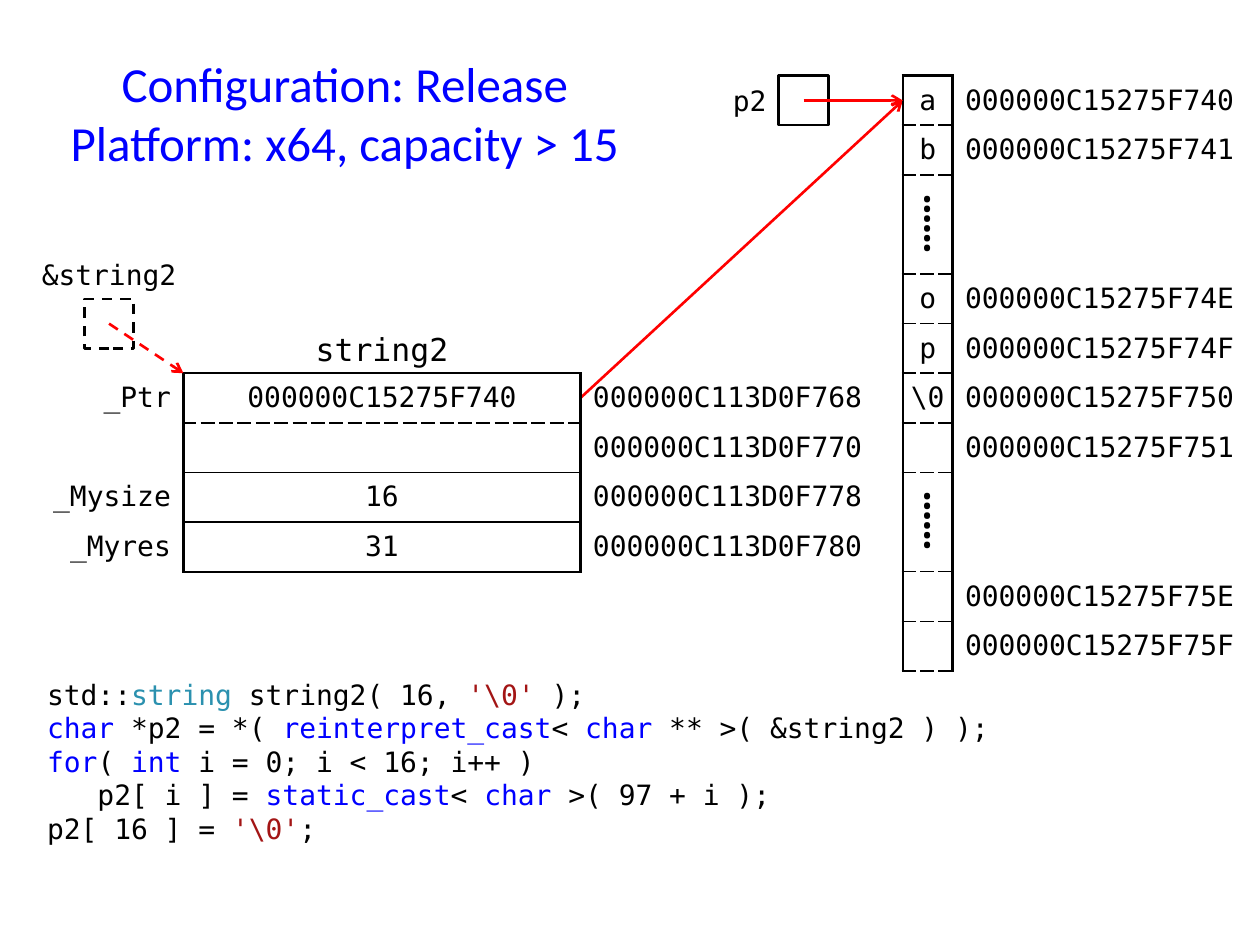
from lxml import etree
from pptx import Presentation
from pptx.dml.color import RGBColor
from pptx.enum.dml import MSO_LINE
from pptx.enum.shapes import MSO_CONNECTOR, MSO_SHAPE
from pptx.enum.text import MSO_ANCHOR, PP_ALIGN
from pptx.oxml.ns import qn
from pptx.util import Pt

LEFT, CENTER, RIGHT = PP_ALIGN.LEFT, PP_ALIGN.CENTER, PP_ALIGN.RIGHT
TOP, MIDDLE = MSO_ANCHOR.TOP, MSO_ANCHOR.MIDDLE
DASH = MSO_LINE.DASH
MONO = "DejaVu Sans Mono"
BLACK, BLUE, RED, TEAL, BROWN = "000000", "0000FF", "FF0000", "2B91AF", "A31515"

# Everything sits on a square grid, counted in cells from its origin
CELL, ORIGIN_X, ORIGIN_Y = 28.35, 19.8, 43.2

# Cell borders as (width in points, dash)
OUTLINE, DIVIDER, DASHED = (1.5, "solid"), (1, "solid"), (1, "sysDash")

FIELDS = [
    ("_Ptr", "000000C15275F740", "000000C113D0F768"),
    ("", "", "000000C113D0F770"),
    ("_Mysize", "16", "000000C113D0F778"),
    ("_Myres", "31", "000000C113D0F780"),
]
FIELD_EDGES = [OUTLINE, DASHED, DIVIDER, DIVIDER, OUTLINE]
DOTS = "⸽"
BUFFER = [
    ("a", "740"), ("b", "741"), (DOTS, ""), ("", ""), ("o", "74E"), ("p", "74F"),
    ("\\0", "750"), ("", "751"), (DOTS, ""), ("", ""), ("", "75E"), ("", "75F"),
]
CODE = [
    [("std::", BLACK), ("string ", TEAL), ("string2( 16, ", BLACK),
     ("'\\0'", BROWN), (" );", BLACK)],
    [("char", BLUE), (" *p2 = *( ", BLACK), ("reinterpret_cast", BLUE), ("< ", BLACK),
     ("char", BLUE), (" ** >( &string2 ) );", BLACK)],
    [("for", BLUE), ("( ", BLACK), ("int", BLUE), (" i = 0; i < 16; i++ )", BLACK)],
    [("   p2[ i ] = ", BLACK), ("static_cast", BLUE), ("< ", BLACK),
     ("char", BLUE), (" >( 97 + i );", BLACK)],
    [("p2[ 16 ] = ", BLACK), ("'\\0'", BROWN), (";", BLACK)],
]


def color(value):
    return RGBColor.from_string(value)


def point(column, row):
    return Pt(ORIGIN_X + column * CELL), Pt(ORIGIN_Y + row * CELL)


def box(column, row, width, height):
    return *point(column, row), Pt(width * CELL), Pt(height * CELL)


def add_run(paragraph, text, size=16, font=MONO, ink=BLACK):
    run = paragraph.add_run()
    run.text = text
    run.font.size, run.font.name = Pt(size), font
    run.font.color.rgb = color(ink)


def add_title(slide):
    title = slide.shapes.title
    title.left, title.top, title.width, title.height = box(0, -0.5, 12.5, 2.5)
    title.text_frame.vertical_anchor = MIDDLE
    paragraph = title.text_frame.paragraphs[0]
    paragraph.alignment = CENTER
    add_run(paragraph, "Configuration: Release", 28, "Calibri", BLUE)
    paragraph.add_line_break()
    add_run(paragraph, "Platform: x64, capacity > 15", 28, "Calibri", BLUE)


def add_text(slide, place, lines, align=LEFT, anchor=MIDDLE, size=16, inset=7.2):
    frame = slide.shapes.add_textbox(*place).text_frame
    frame.word_wrap = True
    frame.vertical_anchor = anchor
    frame.margin_left = frame.margin_right = Pt(inset)
    for index, runs in enumerate(lines):
        paragraph = frame.add_paragraph() if index else frame.paragraphs[0]
        paragraph.alignment = align
        for text, ink in runs:
            add_run(paragraph, text, size, ink=ink)


def add_pointer_box(slide, column, row, dash=None):
    shape = slide.shapes.add_shape(MSO_SHAPE.RECTANGLE, *box(column, row, 1, 1))
    shape.shadow.inherit = False
    shape.fill.background()
    shape.line.color.rgb = color(BLACK)
    shape.line.width = Pt(1.5)
    if dash:
        shape.line.dash_style = dash


def add_arrow(slide, start, end, dash=None):
    arrow = slide.shapes.add_connector(MSO_CONNECTOR.STRAIGHT, *point(*start), *point(*end))
    arrow.line.color.rgb = color(RED)
    arrow.line.width = Pt(1.5)
    if dash:
        arrow.line.dash_style = dash
    etree.SubElement(arrow.line._get_or_add_ln(), qn("a:tailEnd"), type="arrow")
    etree.SubElement(arrow._element.spPr, qn("a:effectLst"))


def set_borders(cell, left=None, right=None, top=None, bottom=None):
    properties = cell._tc.get_or_add_tcPr()
    sides = {"a:lnL": left, "a:lnR": right, "a:lnT": top, "a:lnB": bottom}
    for index, (tag, border) in enumerate(sides.items()):
        line = etree.Element(qn(tag))
        properties.insert(index, line)
        if border is None:
            etree.SubElement(line, qn("a:noFill"))
            continue
        width, dash = border
        line.set("w", str(Pt(width)))
        fill = etree.SubElement(line, qn("a:solidFill"))
        etree.SubElement(fill, qn("a:srgbClr"), val=BLACK)
        etree.SubElement(line, qn("a:prstDash"), val=dash)


def add_table(slide, column, row, widths, row_count):
    place = box(column, row, sum(widths), row_count)
    table = slide.shapes.add_table(row_count, len(widths), *place).table
    table.first_row = table.horz_banding = False
    for table_column, width in zip(table.columns, widths):
        table_column.width = Pt(width * CELL)
    for table_row in table.rows:
        table_row.height = Pt(CELL)
    return table


def fill_cell(cell, text, align, inset=7.2, size=16, font=MONO):
    cell.fill.background()
    cell.vertical_anchor = MIDDLE
    cell.margin_left = cell.margin_right = Pt(inset)
    cell.margin_top = cell.margin_bottom = Pt(2.8 if inset else 0)
    paragraph = cell.text_frame.paragraphs[0]
    paragraph.alignment = align
    if text:
        add_run(paragraph, text, size, font)


def add_fields_table(slide):
    table = add_table(slide, 0, 6, [3, 8, 6], len(FIELDS))
    for row, (name, value, address) in enumerate(FIELDS):
        name_cell, value_cell, address_cell = (table.cell(row, column) for column in range(3))
        fill_cell(name_cell, name, RIGHT)
        fill_cell(value_cell, value, CENTER)
        fill_cell(address_cell, address, LEFT)
        set_borders(name_cell, right=OUTLINE)
        set_borders(value_cell, OUTLINE, OUTLINE, FIELD_EDGES[row], FIELD_EDGES[row + 1])
        set_borders(address_cell, left=OUTLINE)


def add_buffer_table(slide):
    table = add_table(slide, 17.5, 0, [1, 6], len(BUFFER))
    for row, (character, suffix) in enumerate(BUFFER):
        character_cell, address_cell = table.cell(row, 0), table.cell(row, 1)
        style = (28, "Times New Roman") if character == DOTS else (16, MONO)
        fill_cell(character_cell, character, CENTER, 0, *style)
        fill_cell(address_cell, suffix and "000000C15275F" + suffix, LEFT)
        set_borders(character_cell, OUTLINE, OUTLINE, DASHED if row else OUTLINE, DASHED)
        set_borders(address_cell, left=OUTLINE)
        if character == DOTS:
            character_cell.merge(table.cell(row + 1, 0))


def main():
    presentation = Presentation()
    presentation.slide_width, presentation.slide_height = Pt(720), Pt(540)
    slide = presentation.slides.add_slide(presentation.slide_layouts[5])

    # Title and code
    add_title(slide)
    add_text(slide, box(0, 12, 24, 4), CODE, anchor=TOP)

    # String object and the buffer it points to
    add_text(slide, box(5, 5, 4, 1), [[("string2", BLACK)]], CENTER, TOP, 18)
    add_arrow(slide, (11, 6.5), (17.5, 0.5))
    add_fields_table(slide)
    add_buffer_table(slide)

    # Pointer to the buffer
    add_text(slide, box(13.5, 0, 1.5, 1), [[("p2", BLACK)]], RIGHT)
    add_pointer_box(slide, 15, 0)
    add_arrow(slide, (15.5, 0.5), (17.5, 0.5))

    # Address of the string object
    add_pointer_box(slide, 1, 4.5, DASH)
    add_text(slide, box(0, 3.5, 3, 1), [[("&string2", BLACK)]], CENTER, inset=0)
    add_arrow(slide, (1.5, 5), (3, 6), DASH)

    presentation.save("out.pptx")


if __name__ == "__main__":
    main()
